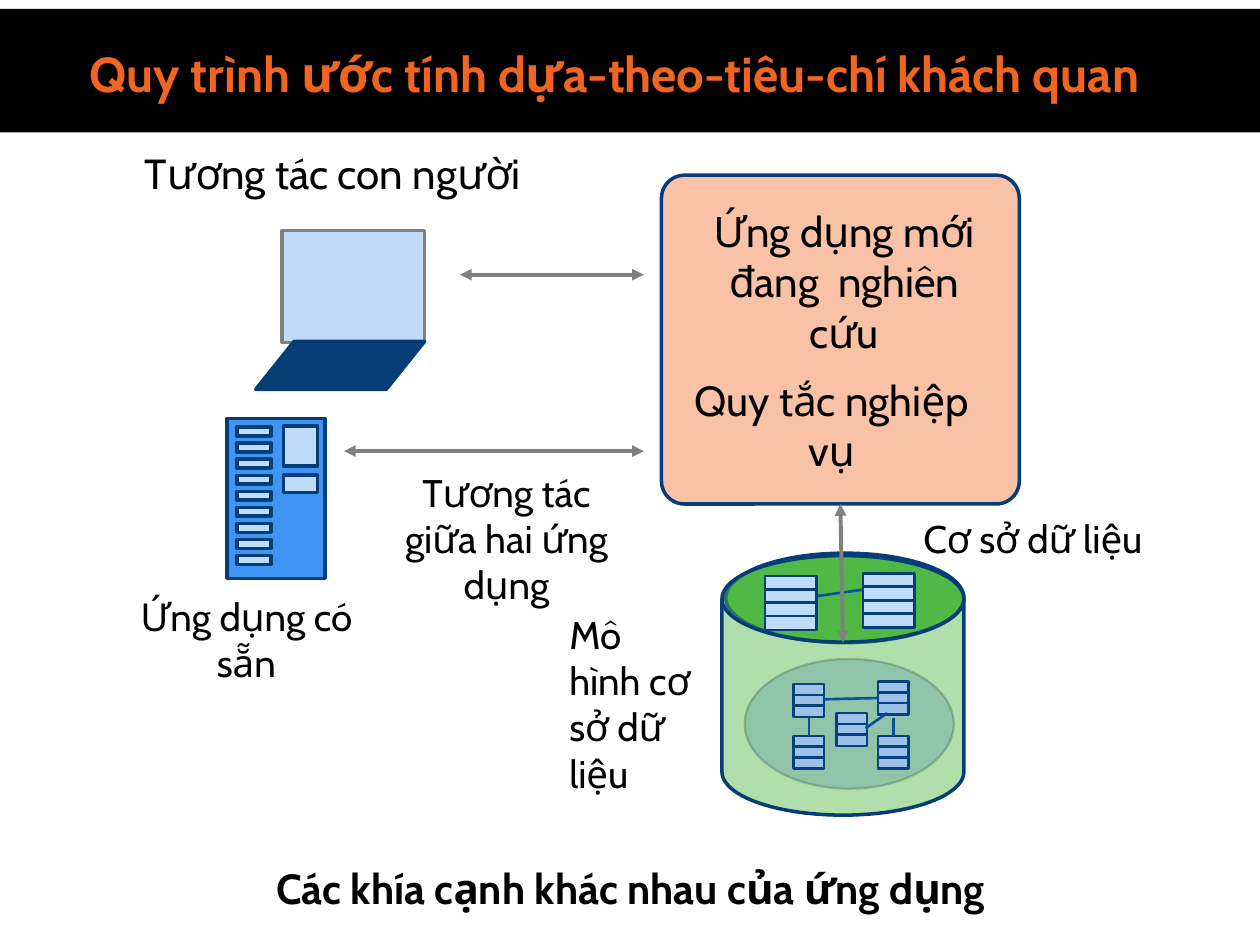
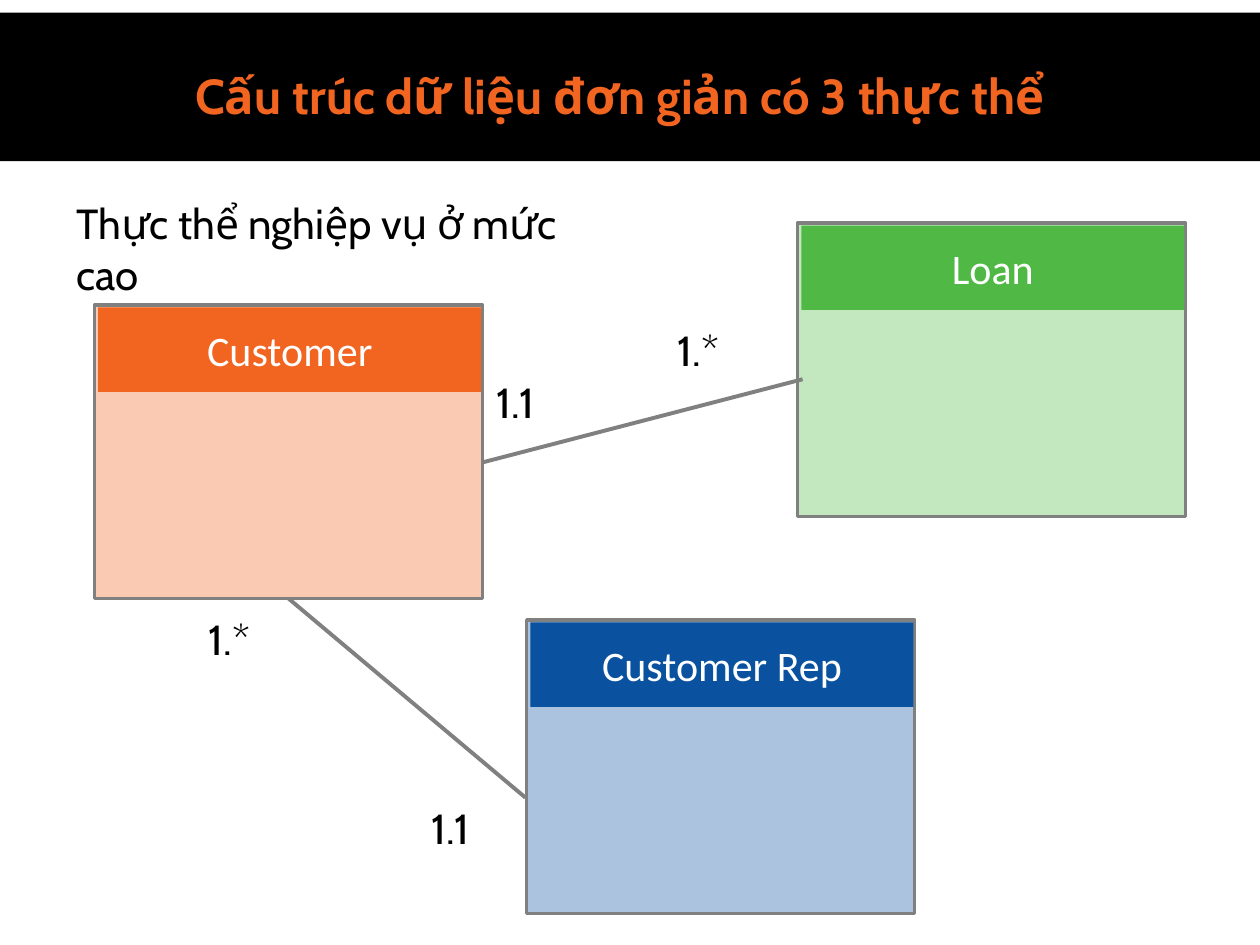
from dataclasses import dataclass

from lxml import etree
from pptx import Presentation
from pptx import util as u
from pptx.dml.color import RGBColor
from pptx.enum import shapes, text
from pptx.oxml.ns import qn

KIND = shapes.MSO_SHAPE
ALIGN = text.PP_ALIGN


@dataclass(frozen=True)
class Theme:
    # Colours
    black: str = "000000"
    white: str = "FFFFFF"
    orange: str = "F16521"
    peach: str = "F9C1A6"
    green: str = "50B946"
    blue: str = "0A52A0"
    link: str = "0650A0"
    navy: str = "073D76"
    keyboard: str = "083E78"
    server: str = "3F95F3"
    sky: str = "BFDCFB"
    gray: str = "808080"
    # Fonts and sizes in points
    font: str = "Cabin"
    entity_font: str = "Calibri"
    title_size: int = 28
    text_size: int = 24
    label_size: int = 22
    # Line widths in points
    outline: float = 2
    thin: float = 1.5
    arrow: float = 2.25


def color(value):
    return RGBColor.from_string(value)


def fade(parent, percent):
    """Make the solid fill under parent partly transparent."""
    solid = parent.find(qn("a:solidFill"))[0]
    etree.SubElement(solid, qn("a:alpha"), val=str(percent * 1000))


class Builder:
    def __init__(self, deck, theme):
        self.deck = deck
        self.theme = theme
        self.page = None
        self.canvas = None

    def new_page(self, title, band, title_area):
        self.page = self.deck.slides.add_slide(self.deck.slide_layouts[5])
        self.canvas = self.page.shapes
        box = self.page.shapes.title
        box.left, box.top, box.width, box.height = map(u.Inches, title_area)
        frame = box.text_frame
        frame.word_wrap = True
        frame.auto_size = text.MSO_AUTO_SIZE.NONE
        frame.vertical_anchor = text.MSO_ANCHOR.TOP
        self.set_text(frame, title, self.theme.title_size, self.theme.orange,
                      bold=True, heading=True)
        # The band lies behind the title
        strip = self.shape(KIND.RECTANGLE, *band, self.theme.black)
        box.element.addprevious(strip.element)

    def group(self):
        """Send the following elements to a new group."""
        self.canvas = self.page.shapes.add_group_shape().shapes

    def ungroup(self):
        self.canvas = self.page.shapes

    def set_text(self, frame, words, size, ink, align=ALIGN.CENTER, bold=False,
                 heading=False, font=None):
        para = frame.paragraphs[0]
        para.text = words
        para.alignment = align
        if heading:
            para.line_spacing = 1.1
            para.space_before = u.Pt(6)
        para.font.name = font or self.theme.font
        para.font.size = u.Pt(size)
        para.font.bold = bold
        para.font.color.rgb = color(ink)

    def shape(self, kind, left, top, width, height, fill, line=None,
              weight=None, alpha=None):
        box = self.canvas.add_shape(
            kind, *map(u.Inches, (left, top, width, height)))
        box.shadow.inherit = False
        box.fill.solid()
        box.fill.fore_color.rgb = color(fill)
        if alpha:
            fade(box.element.spPr, alpha)
        if line:
            box.line.color.rgb = color(line)
            box.line.width = u.Pt(weight or self.theme.outline)
        else:
            box.line.fill.background()
        return box

    def label(self, words, left, top, width, height, size=None,
              align=ALIGN.CENTER, **style):
        box = self.canvas.add_textbox(
            *map(u.Inches, (left, top, width, height)))
        box.text_frame.word_wrap = True
        box.text_frame.auto_size = text.MSO_AUTO_SIZE.SHAPE_TO_FIT_TEXT
        self.set_text(box.text_frame, words, size or self.theme.text_size,
                      self.theme.black, align, **style)

    def connect(self, start, end, ink, weight, arrows=False):
        line = self.canvas.add_connector(
            shapes.MSO_CONNECTOR.STRAIGHT, *map(u.Inches, start + end))
        line.line.color.rgb = color(ink)
        line.line.width = u.Pt(weight)
        props = line.element.spPr
        if arrows:
            for tip in ("a:headEnd", "a:tailEnd"):
                etree.SubElement(props.find(qn("a:ln")), qn(tip), type="triangle")
        etree.SubElement(props, qn("a:effectLst"))
        return line

    def arrow(self, start, end):
        return self.connect(start, end, self.theme.gray, self.theme.arrow, True)

    def stack(self, left, top, width, height, rows, span, weight):
        """Equal bars whose tops are spread evenly over span."""
        for row in range(rows):
            self.shape(KIND.RECTANGLE, left, top + span * row / (rows - 1),
                       width, height, self.theme.sky, self.theme.navy, weight)

    def entity(self, name, left, top, fill):
        body = self.shape(KIND.RECTANGLE, left, top, 3.08, 2.33, fill,
                          self.theme.gray, alpha=34)
        header = self.shape(KIND.RECTANGLE, left + 0.03, top + 0.02,
                            3.04, 0.67, fill)
        header.text_frame.word_wrap = True
        header.text_frame.vertical_anchor = text.MSO_ANCHOR.MIDDLE
        self.set_text(header.text_frame, name, self.theme.text_size,
                      self.theme.white, font=self.theme.entity_font)
        return body


def application_page(build):
    theme = build.theme
    build.new_page("Quy trình ước tính dựa-theo-tiêu-chí khách quan ",
                   (0, 0.07, 10, 0.98), (0.17, 0.25, 9.5, 0.67))

    application = build.shape(KIND.ROUNDED_RECTANGLE, 5.25, 1.39, 2.84, 2.61,
                              theme.peach, theme.navy)
    application.adjustments[0] = 0.07

    # Laptop
    build.group()
    build.shape(KIND.RECTANGLE, 2.24, 1.83, 1.13, 0.89, theme.sky, theme.gray)
    keyboard = build.shape(KIND.PARALLELOGRAM, 2.03, 2.71, 1.34, 0.38,
                           theme.keyboard, theme.navy)
    keyboard.adjustments[0] = 0.8

    # Server with its drives and slots
    build.group()
    build.shape(KIND.RECTANGLE, 1.8, 3.32, 0.78, 1.27, theme.server, theme.navy)
    for top, height in ((3.38, 0.32), (3.77, 0.14)):
        build.shape(KIND.RECTANGLE, 2.25, top, 0.27, height,
                    theme.sky, theme.navy)
    build.stack(1.88, 3.39, 0.27, 0.07, 9, 1.02, theme.outline)

    # Database cylinder
    build.group()
    build.shape(KIND.OVAL, 5.76, 4.39, 1.89, 0.71, theme.green, theme.navy)
    build.shape(KIND.FLOWCHART_MAGNETIC_DISK, 5.73, 4.41, 1.92, 2.06,
                theme.green, theme.navy, alpha=45)

    # Tables on the lid and in the model, with their links
    for left, top in ((6.07, 4.57), (6.85, 4.55)):
        build.stack(left, top, 0.41, 0.11, 4, 0.32, theme.thin)
    for left, top in ((6.3, 5.43), (6.3, 5.84), (6.97, 5.41),
                      (6.97, 5.84), (6.64, 5.66)):
        build.stack(left, top, 0.24, 0.09, 3, 0.17, theme.thin)
    for start, end in (((6.49, 4.73), (6.85, 4.68)),
                       ((6.54, 5.55), (6.97, 5.54)),
                       ((6.42, 5.7), (6.42, 5.84)),
                       ((7.04, 5.66), (6.87, 5.78)),
                       ((7.09, 5.7), (7.09, 5.84))):
        build.connect(start, end, theme.link, theme.thin)
    model = build.shape(KIND.OVAL, 5.91, 5.23, 1.66, 1.03, theme.blue,
                        theme.black, 1.25, alpha=19)
    fade(model.element.spPr.find(qn("a:ln")), 19)

    access = build.arrow((6.69, 5.1), (6.67, 4))
    access.end_connect(application, 2)
    for words, *area in (("Cơ sở dữ liệu", 7.23, 4.04, 2.14, 0.47),
                         ("Mô hình cơ sở dữ liệu", 4.42, 4.8, 1.17, 1.58)):
        build.label(words, *area, size=theme.label_size, align=ALIGN.LEFT)
    build.ungroup()

    # Interactions and captions
    for words, *area in (("Ứng dụng có sẵn", 0.83, 4.66, 2.25, 0.84),
                         ("Tương tác giữa hai ứng dụng", 3, 3.67, 2.04, 1.21)):
        build.label(words, *area, size=theme.label_size)
    build.arrow((5.11, 3.58), (2.73, 3.58))
    build.arrow((5.11, 2.18), (3.65, 2.18))
    for words, *area in (
            ("Tương tác con người", 0.94, 1.12, 3.4, 0.5),
            ("Ứng dụng mới đang  nghiên cứu", 5.4, 1.58, 2.6, 1.31),
            ("Quy tắc nghiệp vụ", 5.33, 2.92, 2.54, 0.91)):
        build.label(words, *area)
    build.label("Các khía cạnh khác nhau của ứng dụng", 1.38, 6.76, 7.25, 0.51,
                bold=True, heading=True)


def entity_page(build):
    theme = build.theme
    build.new_page("Cấu trúc dữ liệu đơn giản có 3 thực thể",
                   (0, 0.1, 10, 1.18), (0.17, 0.42, 9.5, 0.83))

    # Entities
    customer = build.entity("Customer", 0.75, 2.42, theme.orange)
    build.entity("Loan", 6.33, 1.77, theme.green)
    build.entity("Customer Rep", 4.18, 4.92, theme.blue)
    build.label("Thực thể nghiệp vụ ở mức cao", 0.51, 1.52, 4.48, 0.91,
                align=ALIGN.LEFT)

    # Relations and their cardinalities
    for words, left, top in (("1.1", 3.84, 2.94), ("1.*", 5.28, 2.53),
                             ("1.*", 1.56, 4.82), ("1.1", 3.33, 6.32)):
        build.label(words, left, top, 0.75, 0.5, align=ALIGN.LEFT)
    service = build.connect((2.29, 4.75), (4.17, 6.33), theme.gray, theme.arrow)
    service.begin_connect(customer, 2)
    build.connect((3.83, 3.67), (6.37, 3.01), theme.gray, theme.arrow)


def main():
    deck = Presentation()
    deck.slide_width, deck.slide_height = u.Inches(10), u.Inches(7.5)
    build = Builder(deck, Theme())
    application_page(build)
    entity_page(build)
    deck.save("out.pptx")


if __name__ == "__main__":
    main()
